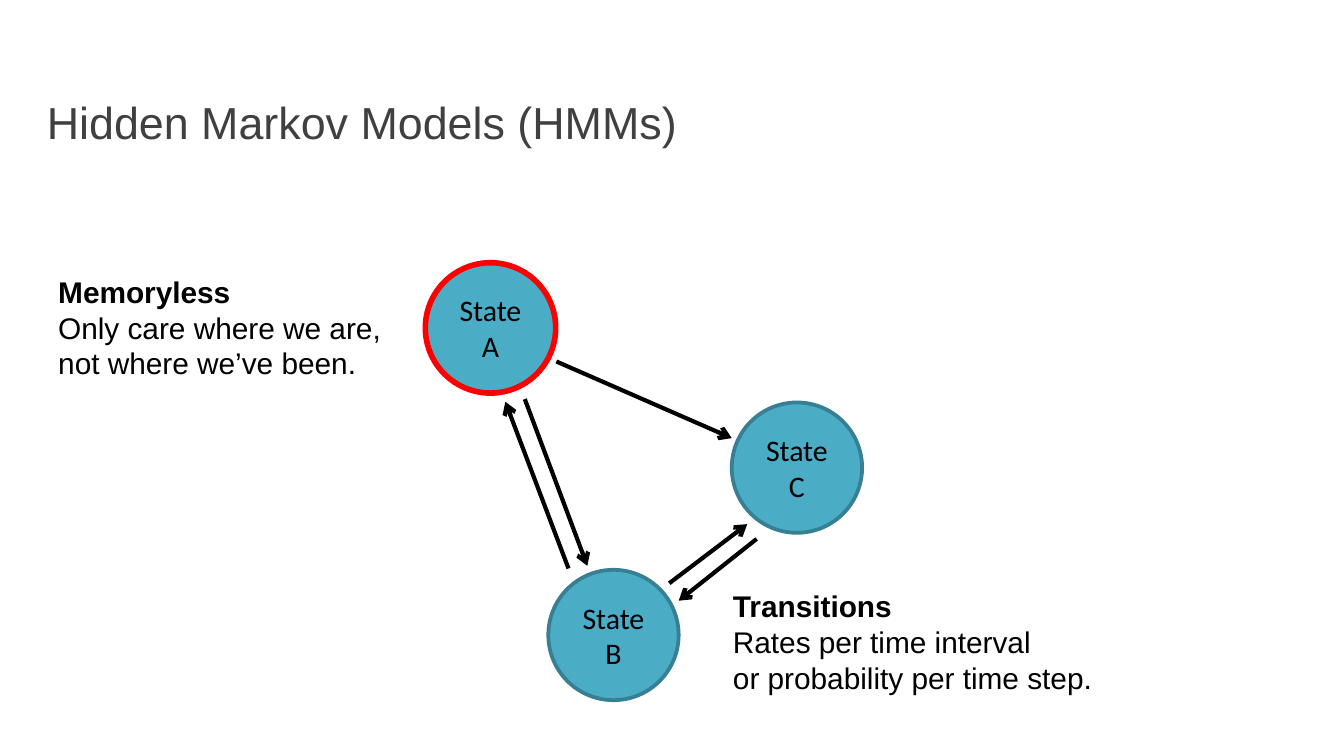
from dataclasses import dataclass

from lxml import etree
from pptx import Presentation
from pptx.dml.color import RGBColor
from pptx.enum.shapes import MSO_CONNECTOR, MSO_SHAPE
from pptx.enum.text import MSO_ANCHOR, MSO_AUTO_SIZE, PP_ALIGN
from pptx.oxml.ns import qn
from pptx.util import Emu, Pt

ELLIPSE = MSO_SHAPE.OVAL
STRAIGHT = MSO_CONNECTOR.STRAIGHT
MIDDLE = MSO_ANCHOR.MIDDLE
LEFT, CENTER = PP_ALIGN.LEFT, PP_ALIGN.CENTER
FIT_SHAPE = MSO_AUTO_SIZE.SHAPE_TO_FIT_TEXT

EMU_PER_PX = 4572
SLIDE_SIZE = 2000, 1125
STATE_SIZE = 194


@dataclass(frozen=True)
class Theme:
    title: str = "404040"
    ink: str = "000000"
    state: str = "4BACC6"
    outline: str = "377F92"
    current: str = "FF0000"
    text_font: str = "Arial"
    state_font: str = "Calibri"
    title_size: int = 24
    body_size: int = 16
    outline_width: float = 2
    current_width: float = 3
    arrow_width: float = 2.25


THEME = Theme()


def px(*values):
    return [Emu(v * EMU_PER_PX) for v in values]


def rgb(color):
    return RGBColor.from_string(color)


def set_line(line, color, width):
    line.color.rgb = rgb(color)
    line.width = Pt(width)


def add_run(p, text, font, size, color, bold=False):
    r = p.add_run()
    r.text = text
    r.font.name = font
    r.font.size = Pt(size)
    r.font.color.rgb = rgb(color)
    r.font.bold = bold


def add_title(s, text, box):
    tf = s.shapes.add_textbox(*px(*box)).text_frame
    tf.word_wrap = True
    tf.vertical_anchor = MIDDLE
    p = tf.paragraphs[0]
    p.line_spacing = 1.5
    add_run(p, text, THEME.text_font, THEME.title_size, THEME.title)


def add_state(s, name, left, top, color, width):
    sp = s.shapes.add_shape(ELLIPSE, *px(left, top, STATE_SIZE, STATE_SIZE))
    sp.shadow.inherit = False
    sp.fill.solid()
    sp.fill.fore_color.rgb = rgb(THEME.state)
    set_line(sp.line, color, width)
    tf = sp.text_frame
    tf.word_wrap = True
    tf.vertical_anchor = MIDDLE
    p = tf.paragraphs[0]
    p.alignment = CENTER
    add_run(p, name, THEME.state_font, THEME.body_size, THEME.ink)


def add_arrow(s, start, end):
    cxn = s.shapes.add_connector(STRAIGHT, *px(*start, *end))
    set_line(cxn.line, THEME.ink, THEME.arrow_width)
    sp_pr = cxn._element.spPr
    etree.SubElement(sp_pr.find(qn("a:ln")), qn("a:tailEnd"), type="arrow")
    etree.SubElement(sp_pr, qn("a:effectLst"))


def add_note(s, heading, lines, box):
    tf = s.shapes.add_textbox(*px(*box)).text_frame
    tf.word_wrap = False
    tf.auto_size = FIT_SHAPE
    for i, text in enumerate([heading, *lines]):
        p = tf.add_paragraph() if i else tf.paragraphs[0]
        p.alignment = LEFT
        add_run(p, text, THEME.text_font, THEME.body_size, THEME.ink, bold=i == 0)


def main():
    prs = Presentation()
    prs.slide_width, prs.slide_height = px(*SLIDE_SIZE)
    s = prs.slides.add_slide(prs.slide_layouts[6])

    add_title(s, "Hidden Markov Models (HMMs)", (50, 130, 1900, 62))

    add_state(s, "State A", 633, 391, THEME.current, THEME.current_width)
    for name, left, top in (("State B", 816, 848), ("State C", 1089, 599)):
        add_state(s, name, left, top, THEME.outline, THEME.outline_width)

    transitions = (
        ((781, 594), (874, 842)),
        ((828, 538), (1089, 652)),
        ((996, 868), (1112, 780)),
        ((1126, 802), (1010, 894)),
        ((846, 846), (752, 598)),
    )
    for start, end in transitions:
        add_arrow(s, start, end)

    add_note(s, "Memoryless",
             ["Only care where we are,", "not where we’ve been."],
             (67, 397, 528, 182))
    add_note(s, "Transitions",
             ["Rates per time interval", "or probability per time step."],
             (1071, 865, 582, 182))

    prs.save("out.pptx")


if __name__ == "__main__":
    main()
